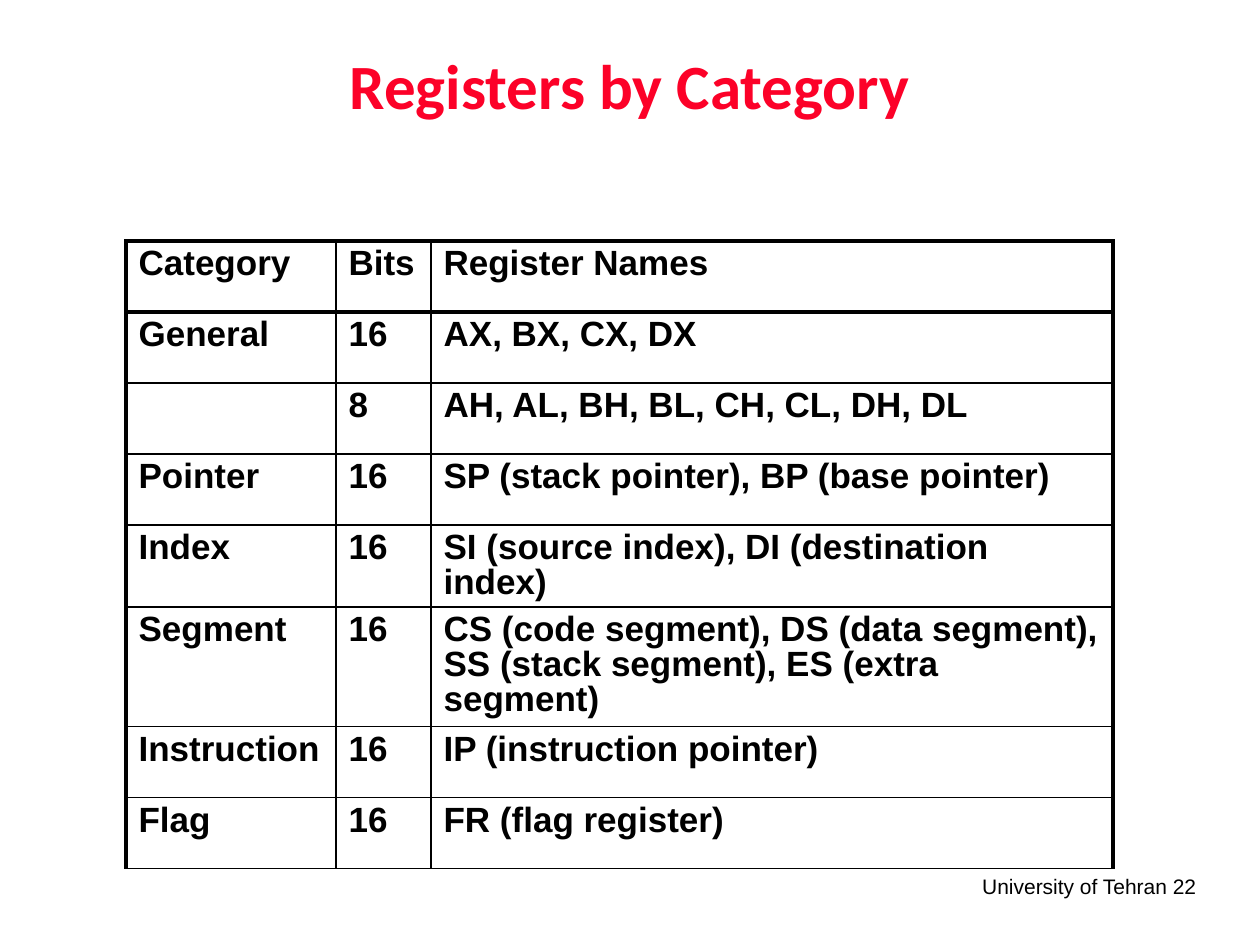
from lxml import etree
from pptx import Presentation
from pptx.dml.color import RGBColor
from pptx.enum import text
from pptx.oxml.ns import qn
from pptx.util import Emu, Pt

SCALE = 914400 / 126
BLACK = "000000"
WIDTHS = [210, 95, 682]
ROW = 71
ROWS = [
    ("Category", "Bits", "Register Names"),
    ("General", "16", "AX, BX, CX, DX"),
    ("", "8", "AH, AL, BH, BL, CH, CL, DH, DL"),
    ("Pointer", "16", "SP (stack pointer), BP (base pointer)"),
    ("Index", "16", "SI (source index), DI (destination index)"),
    ("Segment", "16", "CS (code segment), DS (data segment), "
                      "SS (stack segment), ES (extra segment)"),
    ("Instruction", "16", "IP (instruction pointer)"),
    ("Flag", "16", "FR (flag register)"),
]


def px(*vals):
    return [Emu(round(v * SCALE)) for v in vals]


def color(code):
    return RGBColor.from_string(code)


def write(frame, words, size, font="Arial", hue=BLACK, **form):
    par = frame.paragraphs[0]
    for key, val in form.items():
        setattr(par, key, val)
    # An empty cell keeps its size through the paragraph font
    part = par.add_run() if words else par
    part.text = words
    style = {"size": Pt(size), "name": font, "bold": size > 12}
    for key, val in style.items():
        setattr(part.font, key, val)
    part.font.color.rgb = color(hue)


def label(slide, box, words, size, wrap=True, **form):
    frame = slide.shapes.add_textbox(*px(*box)).text_frame
    frame.word_wrap = wrap
    frame.vertical_anchor = text.MSO_ANCHOR.MIDDLE
    write(frame, words, size, **form)


def border(cell, sides):
    props = cell._tc.get_or_add_tcPr()
    for spot, (side, width) in enumerate(sides.items()):
        line = etree.Element(qn("a:ln" + side), w=str(Pt(width)))
        fill = etree.SubElement(line, qn("a:solidFill"))
        etree.SubElement(fill, qn("a:srgbClr"), val=BLACK)
        props.insert(spot, line)


def grid(slide, left, top):
    size = px(left, top, sum(WIDTHS), ROW * len(ROWS))
    table = slide.shapes.add_table(len(ROWS), len(WIDTHS), *size).table
    table.first_row = table.horz_banding = False
    for col, width in zip(table.columns, px(*WIDTHS)):
        col.width = width
    for r, row in enumerate(ROWS):
        table.rows[r].height = px(ROW)[0]
        for c, words in enumerate(row):
            cell = table.cell(r, c)
            cell.fill.background()
            # Wrapped rows stay compact, so the table ends above the footer
            cell.margin_bottom = 0
            write(cell.text_frame, words, 20, line_spacing=0.9)
            # Heavy outer frame, heavier rule under the header
            border(cell, {
                "L": 2.25 if c == 0 else 1,
                "R": 2.25 if c == len(WIDTHS) - 1 else 1,
                "T": {0: 2.25, 1: 3}.get(r, 1),
                "B": 3 if r == 0 else 1,
            })


def main():
    deck = Presentation()
    deck.slide_width, deck.slide_height = px(1260, 945)
    slide = deck.slides.add_slide(deck.slide_layouts[6])

    # Footer
    label(slide, (965, 867, 244, 38), "University of Tehran 22", 12,
          wrap=False, alignment=text.PP_ALIGN.RIGHT)
    # Title
    label(slide, (136, 10, 987, 158), "Registers by Category", 36,
          font="Calibri", hue="FC0128", line_spacing=0.9,
          alignment=text.PP_ALIGN.CENTER)
    # Register table
    grid(slide, 126, 241)
    deck.save("out.pptx")


main()
